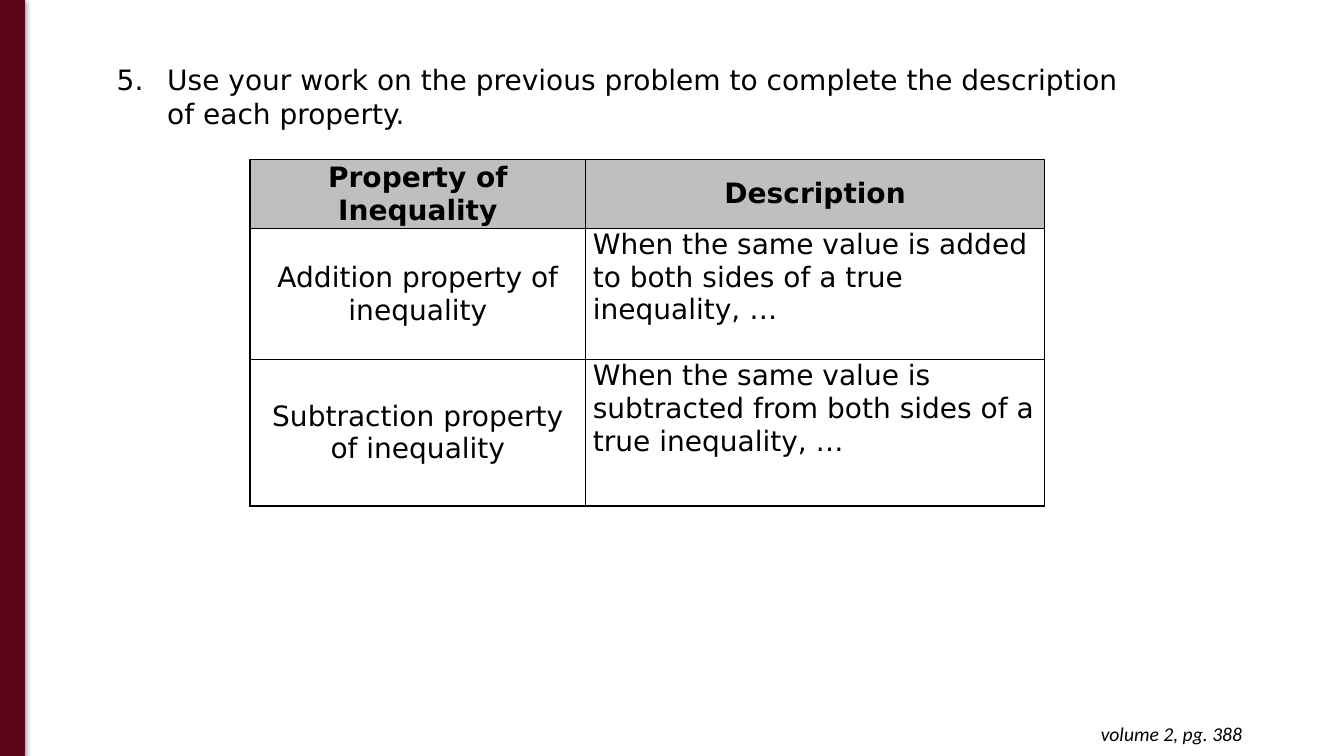
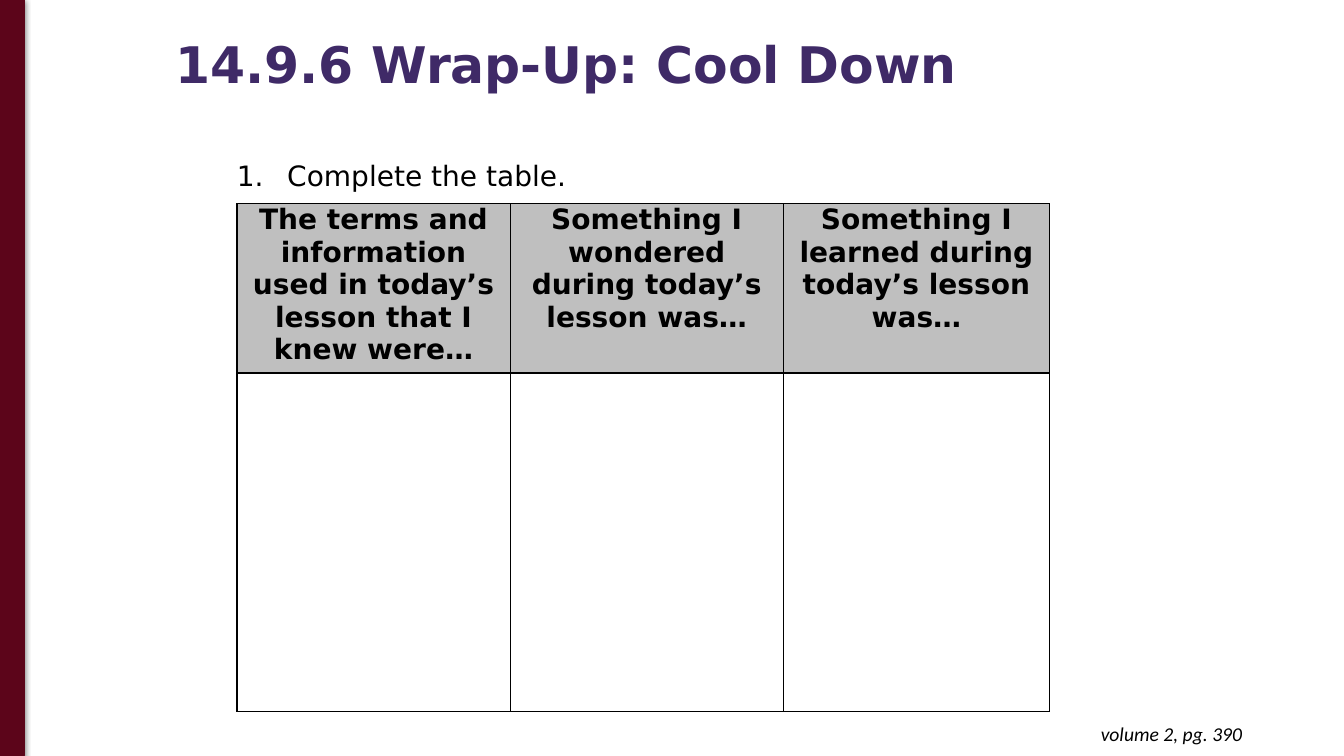
from lxml import etree
from pptx import Presentation
from pptx import util as u
from pptx.dml import color
from pptx.enum import shapes, text
from pptx.oxml import ns

Inches, Pt = u.Inches, u.Pt
ALIGN, ANCHOR = text.PP_ALIGN, text.MSO_ANCHOR
HUES = {"band": "5C051A", "title": "3F2A67", "ink": "000000",
        "head": "BFBFBF", "cell": "FFFFFF"}
FONT = "DejaVu Sans"

# Content
SLIDES = [
    {"task": (5, "Use your work on the previous problem to complete "
                 "the description of each property."),
     "box": (1.06, 0.57, 10.24, 0.77),
     "at": (2.48, 1.58), "cols": (3.33, 4.55), "rows": (0.69, 1.3, 1.45),
     "pad": 0.07, "mid": [(0, 0), (0, 1), (1, 0), (2, 0)],
     "cells": [
         ("Property of Inequality", "Description"),
         ("Addition property of inequality",
          "When the same value is added to both sides of a true inequality, …"),
         ("Subtraction property of inequality",
          "When the same value is subtracted from both sides of a true "
          "inequality, …")],
     "page": 388},
    {"title": "14.9.6 Wrap-Up: Cool Down",
     "task": (1, "Complete the table."),
     "box": (2.25, 1.52, 9.11, 0.44),
     "at": (2.35, 2.02), "cols": (2.71, 2.71, 2.64), "rows": (1.68, 3.36),
     "pad": 0.05, "mid": [],
     "cells": [
         ("The terms and information used in today’s lesson that I knew were…",
          "Something I wondered during today’s lesson was…",
          "Something I learned during today’s lesson was…"),
         ("", "", "")],
     "page": 390},
]


def rgb(name):
    return color.RGBColor.from_string(HUES[name])


def node(root, tag, **attrs):
    item = etree.SubElement(root, ns.qn(tag))
    for key, val in attrs.items():
        item.set(key, str(val))
    return item


def place(shape, box):
    shape.left, shape.top, shape.width, shape.height = map(Inches, box)


def write(frame, words, size=20, font=FONT, hue="ink", bold=False,
          italic=False, align=ALIGN.LEFT, start=None, space=None):
    para = frame.paragraphs[0]
    para.alignment = align
    if space:
        para.line_spacing = space
    if start:
        props = para._p.get_or_add_pPr()
        props.set("marL", str(Inches(0.5)))
        props.set("indent", str(-Inches(0.5)))
        node(props, "a:buFont", typeface="+mj-lt")
        node(props, "a:buAutoNum", type="arabicPeriod", startAt=start)
    run = para.add_run()
    run.text = words
    face = run.font
    face.name, face.size, face.bold, face.italic = font, Pt(size), bold, italic
    face.color.rgb = rgb(hue)


def add_box(slide, box, words, pad=0.05, **style):
    frame = slide.shapes.add_textbox(*map(Inches, box)).text_frame
    frame.word_wrap = True
    frame.margin_top = frame.margin_bottom = Inches(pad)
    write(frame, words, **style)


def add_title(slide, words):
    head = slide.shapes.title
    place(head, (1.64, -0.06, 8.77, 1.45))
    frame = head.text_frame
    frame.auto_size = text.MSO_AUTO_SIZE.NONE
    frame.vertical_anchor = ANCHOR.MIDDLE
    write(frame, words, size=36, hue="title", bold=True, space=0.9)


def add_band(slide):
    band = slide.shapes.add_shape(shapes.MSO_SHAPE.RECTANGLE,
                                  *map(Inches, (0, -0.01, 0.24, 7.51)))
    band.fill.solid()
    band.fill.fore_color.rgb = band.line.color.rgb = rgb("band")
    band.line.width = Pt(0.75)
    band.shadow.inherit = False
    glow = node(band._element.spPr.find(ns.qn("a:effectLst")), "a:outerShdw",
                blurRad=Pt(4.5), dist=Pt(1.5), dir=90 * 60000,
                algn="t", rotWithShape=0)
    node(node(glow, "a:srgbClr", val=HUES["ink"]), "a:alpha", val=50000)


def add_grid(slide, data):
    cols, rows = data["cols"], data["rows"]
    size = map(Inches, (*data["at"], sum(cols), sum(rows)))
    grid = slide.shapes.add_table(len(rows), len(cols), *size).table
    for col, wide in zip(grid.columns, cols):
        col.width = Inches(wide)
    for row, tall in zip(grid.rows, rows):
        row.height = Inches(tall)
    for r, line in enumerate(data["cells"]):
        for c, words in enumerate(line):
            cell = grid.cell(r, c)
            cell.margin_left = cell.margin_right = Inches(data["pad"])
            cell.margin_top = cell.margin_bottom = 0
            mid = (r, c) in data["mid"]
            cell.vertical_anchor = ANCHOR.MIDDLE if mid else ANCHOR.TOP
            props = cell._tc.get_or_add_tcPr()
            for side in "LRTB":
                edge = node(props, "a:ln" + side, w=Pt(1))
                node(node(edge, "a:solidFill"), "a:srgbClr", val=HUES["ink"])
            cell.fill.solid()
            cell.fill.fore_color.rgb = rgb("cell" if r else "head")
            if words:
                centre = r == 0 or c == 0
                write(cell.text_frame, words, bold=r == 0,
                      align=ALIGN.CENTER if centre else ALIGN.LEFT)


def main():
    deck = Presentation()
    deck.slide_width, deck.slide_height = Inches(13.33), Inches(7.5)
    for data in SLIDES:
        # Title-only layout where there is a title, else blank
        slide = deck.slides.add_slide(
            deck.slide_layouts[5 if "title" in data else 6])
        if "title" in data:
            add_title(slide, data["title"])
        start, words = data["task"]
        add_box(slide, data["box"], words, start=start)
        add_band(slide)
        add_grid(slide, data)
        # Footer
        add_box(slide, (9.54, 7.06, 2.88, 0.44), f"volume 2, pg. {data['page']}",
                pad=0.1, size=14, font="Calibri", italic=True,
                align=ALIGN.RIGHT)
    deck.save("out.pptx")


if __name__ == "__main__":
    main()
